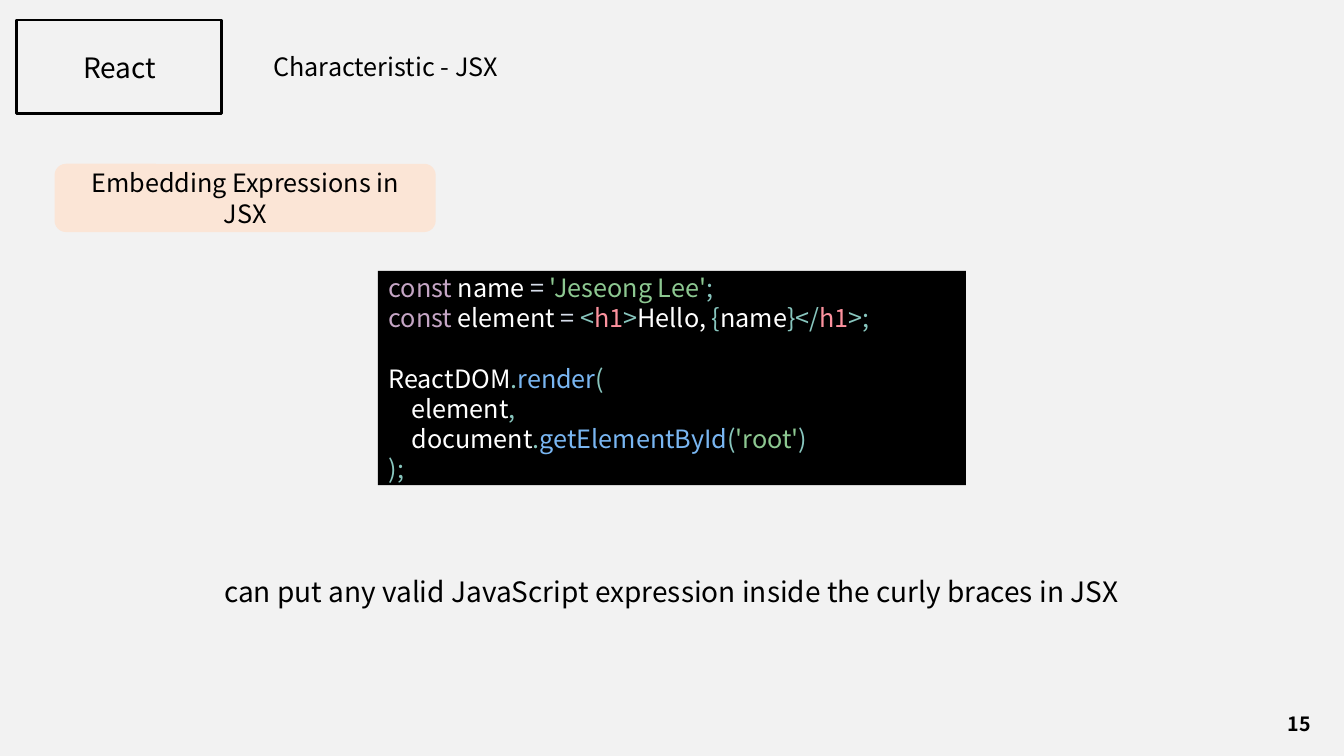
"""Build the JSX expressions slide."""
from pptx import Presentation
from pptx import util as u
from pptx.dml.color import RGBColor
from pptx.enum import shapes, text

COLORS = {
    "page": "F2F2F2", "black": "000000", "peach": "FBE5D6",
    "keyword": "C5A5C5", "plain": "FFFFFF", "operator": "D7DEEA",
    "string": "8DC891", "mark": "88C6BE", "tag": "FC929E", "call": "79B6F2",
}
MARGIN, NESTED = 10, 32
CODE = [
    (MARGIN, 0, [("keyword", "const"), ("plain", " name "), ("operator", "= "),
                 ("string", "'Jeseong Lee'"), ("mark", ";")]),
    (MARGIN, 0, [("keyword", "const"), ("plain", " element "), ("operator", "= "),
                 ("mark", "<"), ("tag", "h1"), ("mark", ">"), ("plain", "Hello, "),
                 ("mark", "{"), ("plain", "name"), ("mark", "}</"),
                 ("tag", "h1"), ("mark", ">;")]),
    (MARGIN, 21.6, [("plain", "ReactDOM"), ("mark", "."), ("call", "render"),
                    ("mark", "(")]),
    (NESTED, 0, [("plain", "element"), ("mark", ",")]),
    (NESTED, 0, [("plain", "document"), ("mark", "."), ("call", "getElementById"),
                 ("mark", "("), ("string", "'root'"), ("mark", ")")]),
    (MARGIN, 0, [("mark", ");")]),
]


class Page:
    """Hold the deck style and draw elements on its slide."""

    font_name = "Noto Sans CJK KR"
    unit = 9525

    def __init__(self, width, height):
        """Open a deck with one blank slide."""
        self.deck = Presentation()
        self.deck.slide_width, self.deck.slide_height = self.px(width, height)
        self.slide = self.deck.slides.add_slide(self.deck.slide_layouts[6])
        self.paint(self.slide.background.fill, "page")

    def px(self, *lengths):
        """Turn pixel lengths into EMU."""
        return [u.Emu(length * self.unit) for length in lengths]

    def paint(self, fill, color):
        """Give a fill one solid colour."""
        fill.solid()
        fill.fore_color.rgb = RGBColor.from_string(COLORS[color])

    def style(self, para, size, align, bold=False):
        """Set the alignment and font of a paragraph."""
        para.alignment = align
        para.font.name = self.font_name
        para.font.size = u.Pt(size)
        para.font.bold = bold

    def caption(self, box, words, size, align=text.PP_ALIGN.CENTER, bold=False):
        """Put one black paragraph in a box."""
        box.text_frame.word_wrap = True
        box.text_frame.vertical_anchor = text.MSO_ANCHOR.MIDDLE
        para = box.text_frame.paragraphs[0]
        para.text = words
        self.style(para, size, align, bold)
        self.paint(para.font.fill, "black")

    def label(self, place, words, size, **options):
        """Add a text box."""
        box = self.slide.shapes.add_textbox(*self.px(*place))
        self.caption(box, words, size, **options)

    def shape(self, kind, place, fill=None, line=None):
        """Add a preset shape with an optional fill and line."""
        box = self.slide.shapes.add_shape(kind, *self.px(*place))
        box.shadow.inherit = False
        if fill:
            self.paint(box.fill, fill)
        else:
            box.fill.background()
        if line:
            self.paint(box.line.fill, line)
            box.line.width = u.Pt(2)
        else:
            box.line.fill.background()
        return box

    def code(self, place, lines):
        """Add a black panel of coloured code lines."""
        box = self.shape(shapes.MSO_SHAPE.RECTANGLE, place, fill="black")
        frame = box.text_frame
        frame.word_wrap = True
        frame.vertical_anchor = text.MSO_ANCHOR.MIDDLE
        frame.margin_left = frame.margin_right = 0
        frame.margin_top = frame.margin_bottom = 0
        for index, (indent, gap, spans) in enumerate(lines):
            para = frame.add_paragraph() if index else frame.paragraphs[0]
            self.style(para, 18, text.PP_ALIGN.LEFT)
            para.space_before = u.Pt(gap)
            para._p.get_or_add_pPr().set("marL", str(indent * self.unit))
            for color, words in spans:
                span = para.add_run()
                span.text = words
                self.paint(span.font.fill, color)


def main():
    """Compose and save the slide."""
    page = Page(1280, 720)
    page.label((22, 43, 184, 42), "React", 20)
    page.shape(shapes.MSO_SHAPE.RECTANGLE, (16, 19, 195, 89), line="black")
    page.label((251, 44, 349, 38), "Characteristic - JSX", 18,
               align=text.PP_ALIGN.LEFT)
    page.label((1214, 670, 47, 38), "15", 14, bold=True)
    heading = page.shape(shapes.MSO_SHAPE.ROUNDED_RECTANGLE, (52, 156, 363, 65),
                         fill="peach")
    page.caption(heading, "Embedding Expressions in JSX", 18)
    page.code((360, 258, 560, 204), CODE)
    page.label((65, 542, 1149, 42),
               "can put any valid JavaScript expression inside the curly braces in JSX",
               20)
    page.deck.save("out.pptx")


if __name__ == "__main__":
    main()
